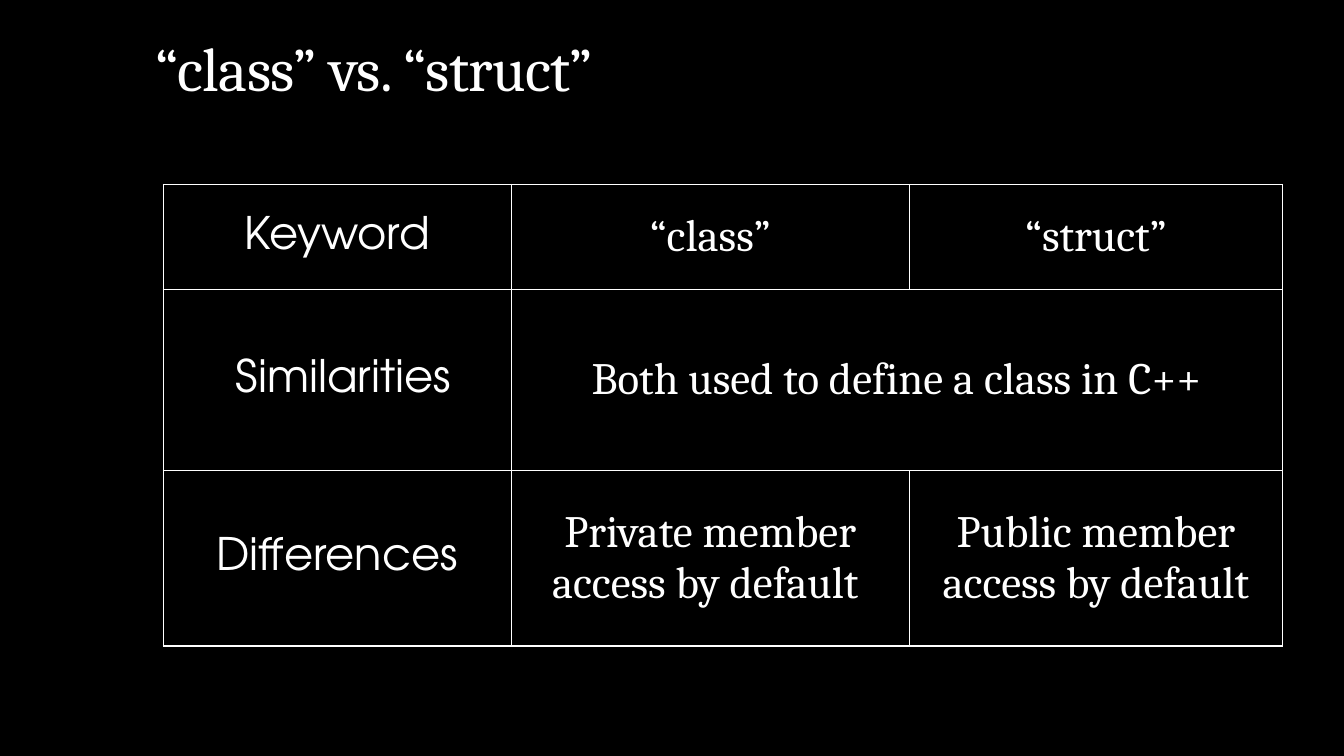
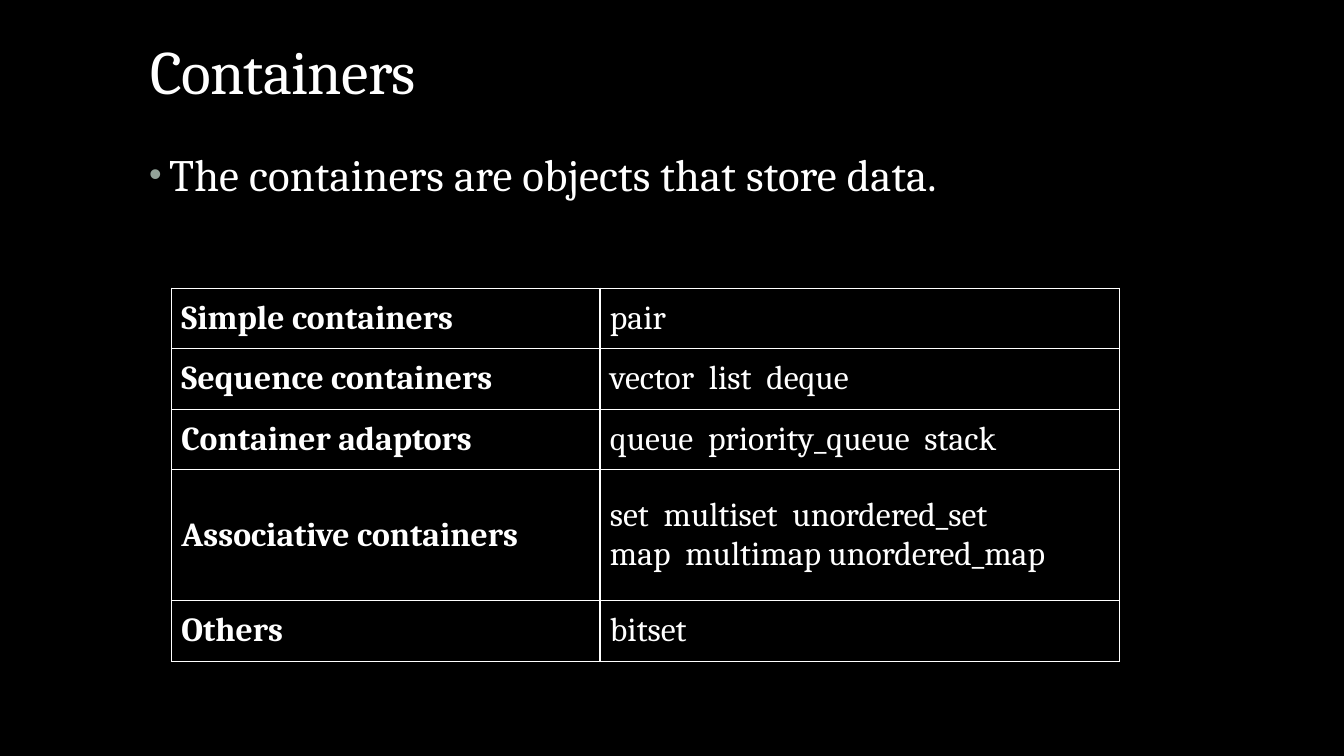
import pptx
import pptx.util
import pptx.dml.color
import pptx.enum.text
import pptx.oxml
from lxml import etree

Inches = pptx.util.Inches
Pt = pptx.util.Pt
ANCHOR = pptx.enum.text.MSO_ANCHOR
ALIGN = pptx.enum.text.PP_ALIGN
NS = "http://schemas.openxmlformats.org/drawingml/2006/main"
WHITE, BLACK, BULLET = "FFFFFF", "000000", "93A299"
SERIF, SANS = "Cambria", "TeX Gyre Adventor"


def rgb(value):
    return pptx.dml.color.RGBColor.from_string(value)


def xml(text):
    return pptx.oxml.parse_xml(text.replace(">", f' xmlns:a="{NS}">', 1))


class Deck:
    """Holds the shared style and the current slide."""

    def __init__(self):
        self.prs = pptx.Presentation()
        self.prs.slide_width = Inches(13.33)
        self.prs.slide_height = Inches(7.5)
        fill = self.prs.slide_master.background.fill
        fill.solid()
        fill.fore_color.rgb = rgb(BLACK)

    def slide(self):
        self.s = self.prs.slides.add_slide(self.prs.slide_layouts[6])

    def run(self, p, text, size, name=SERIF, bold=False, spacing=None):
        r = p.add_run()
        r.text = text
        for key, value in {"size": Pt(size), "name": name, "bold": bold}.items():
            setattr(r.font, key, value)
        r.font.color.rgb = rgb(WHITE)
        if spacing is not None:
            r.font._element.set("spc", str(round(spacing * 100)))

    def text(self, box, text, size, anchor, spacing, form):
        tf = self.s.shapes.add_textbox(*map(Inches, box)).text_frame
        tf.word_wrap = True
        tf.vertical_anchor = anchor
        p = tf.paragraphs[0]
        for key, value in form.items():
            setattr(p, key, value)
        self.run(p, text, size, spacing=spacing)
        return p

    def title(self, box, text):
        self.text(box, text, 44, ANCHOR.BOTTOM, -0.5, {"line_spacing": 0.9})

    def bullet(self, box, text):
        form = {"line_spacing": 0.95, "space_before": Pt(14), "space_after": Pt(2)}
        p = self.text(box, text, 32, ANCHOR.TOP, 0.1, form)
        pr = p._p.get_or_add_pPr()
        pr.set("marL", str(Inches(0.2)))
        pr.set("indent", str(Inches(-0.2)))
        pr.append(xml(f'<a:buClr><a:srgbClr val="{BULLET}"/></a:buClr>'))
        for tag, key, value in (("buSzPct", "val", "80000"),
                                ("buFont", "typeface", "Arial"),
                                ("buChar", "char", "\u2022")):
            etree.SubElement(pr, f"{{{NS}}}{tag}").set(key, value)

    def borders(self, cell):
        pr = cell._tc.get_or_add_tcPr()
        for i, side in enumerate("LRTB"):
            pr.insert(i, xml(f'<a:ln{side} w="{Pt(1)}"><a:solidFill>'
                             f'<a:srgbClr val="{WHITE}"/></a:solidFill></a:ln{side}>'))

    def table(self, left, top, cols, rows, texts, size, align, head):
        shape = self.s.shapes.add_table(len(rows), len(cols), Inches(left), Inches(top),
                                        Inches(sum(cols)), Inches(sum(rows)))
        table = shape.table
        table.first_row = table.horz_banding = False
        for col, width in zip(table.columns, cols):
            col.width = Inches(width)
        for row, height in zip(table.rows, rows):
            row.height = Inches(height)
        for i, line in enumerate(texts):
            for j, text in enumerate(line):
                cell = table.cell(i, j)
                cell.vertical_anchor = ANCHOR.MIDDLE
                cell.fill.background()
                self.borders(cell)
                tf = cell.text_frame
                for n, part in enumerate(text.split("\n") if text else ()):
                    p = tf.add_paragraph() if n else tf.paragraphs[0]
                    p.alignment = align
                    self.run(p, part, size, **(head if j == 0 else {}))
        return table


deck = Deck()

deck.slide()
deck.title((1.44, 0.17, 10.33, 0.92), "“class” vs. “struct”")
comparison = deck.table(1.62, 1.83, (3.45, 3.95, 3.7), (1.04, 1.8, 1.74), (
    ("Keyword", "“class”", "“struct”"),
    ("\u00a0Similarities", "Both used to define a class in C++", ""),
    ("Differences", "Private member access by default ", "Public member access by default"),
), 32, ALIGN.CENTER, {"name": SANS})
comparison.cell(1, 1).merge(comparison.cell(1, 2))

deck.slide()
deck.title((1.39, 0.24, 10.75, 0.88), "Containers")
deck.bullet((1.38, 1.44, 9.4, 5.32), "The containers are objects that store data.")
deck.table(1.7, 2.86, (4.25, 5.15), (0.6, 0.6, 0.6, 1.3, 0.6), (
    ("Simple containers", "pair"),
    ("Sequence containers", "vector  list  deque"),
    ("Container adaptors", "queue  priority_queue  stack"),
    ("Associative containers", "set  multiset  unordered_set\nmap  multimap unordered_map"),
    ("Others", "bitset"),
), 24, ALIGN.LEFT, {"bold": True})

deck.prs.save("out.pptx")
